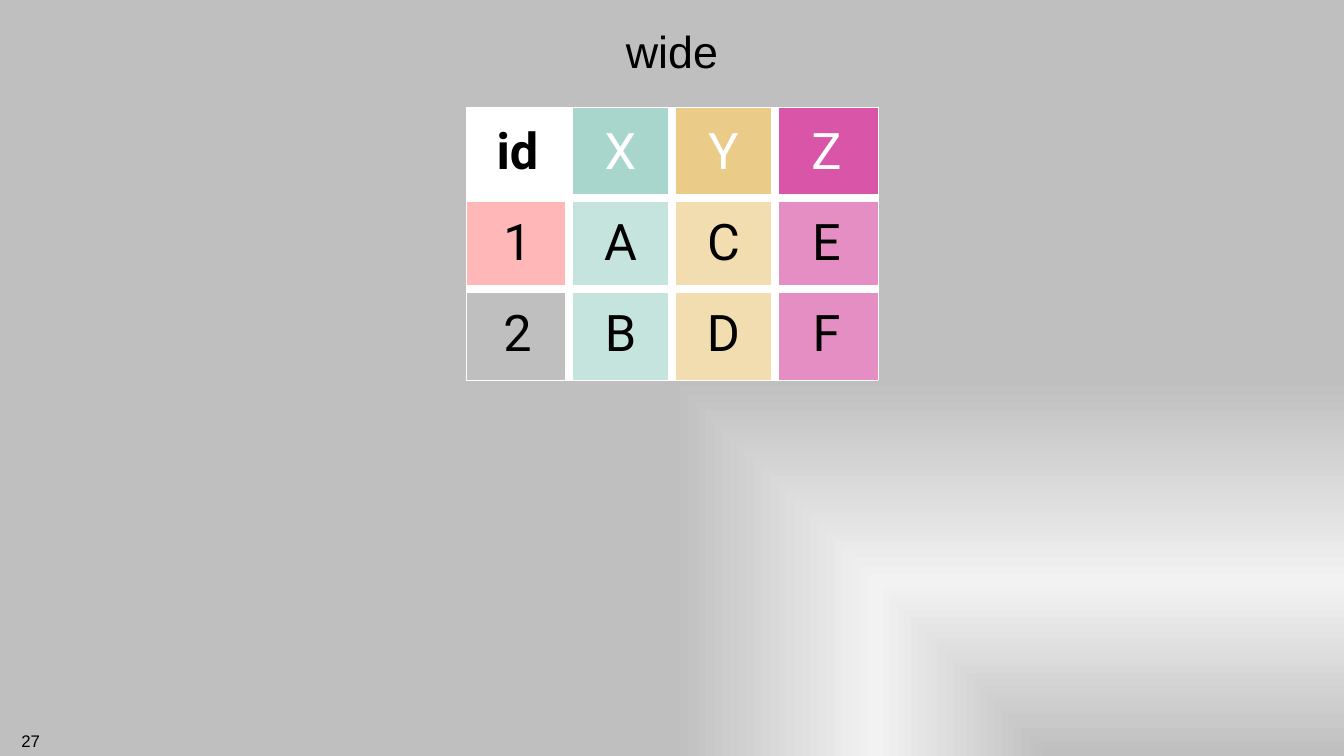
"""Build the slide showing a small table in wide format."""
from lxml import etree
from pptx import Presentation
from pptx.dml.color import RGBColor
from pptx.enum.text import MSO_ANCHOR, PP_ALIGN
from pptx.oxml import parse_xml
from pptx.oxml.ns import qn
from pptx.util import Pt

MIDDLE, TOP = MSO_ANCHOR.MIDDLE, MSO_ANCHOR.TOP
CENTER, RIGHT = PP_ALIGN.CENTER, PP_ALIGN.RIGHT
NS = "http://schemas.openxmlformats.org/drawingml/2006/main"
PX = 914400 / 100.8

WIDTH, HEIGHT = 1344, 756
BLACK, WHITE = "000000", "FFFFFF"
BACKGROUND = [(0, "BFBFBF"), (46, "F2F2F2"), (100, "BFBFBF")]
LABELS = [
    ("wide", (101, 0, 1142, 101), 32, CENTER, MIDDLE),
    ("27", (0, 726, 50, 30), 12, RIGHT, TOP),
]
ROWS = [
    [("id", WHITE), ("X", "A8D6CD"), ("Y", "EACC88"), ("Z", "D955A7")],
    [("1", "FFB7B7"), ("A", "C5E4DD"), ("C", "F1DDAF"), ("E", "E58EC4")],
    [("2", "BFBFBF"), ("B", "C5E4DD"), ("D", "F1DDAF"), ("F", "E58EC4")],
]
TABLE_LEFT, TABLE_TOP, COL_WIDTH, ROW_HEIGHT = 466, 107, 103, 91
OUTER_LINE, INNER_LINE = 0.25, 6


def emu(px):
    return round(px * PX)


def color(value):
    return RGBColor.from_string(value)


def add_run(p, text, size, font, hex_color, bold=False):
    r = p.add_run()
    r.text = text
    r.font.size = Pt(size)
    r.font.name = font
    r.font.bold = bold
    r.font.color.rgb = color(hex_color)


def set_background(s):
    s.background.fill.gradient()
    grad = s.background._cSld.find(".//" + qn("a:gradFill"))
    stops = "".join(
        f'<a:gs pos="{pos * 1000}"><a:srgbClr val="{value}"/></a:gs>'
        for pos, value in BACKGROUND)
    new_grad = parse_xml(
        f'<a:gradFill xmlns:a="{NS}" rotWithShape="1"><a:gsLst>{stops}</a:gsLst>'
        '<a:path path="rect"><a:fillToRect l="100000" t="100000"/></a:path>'
        '</a:gradFill>')
    grad.getparent().replace(grad, new_grad)


def add_label(s, text, box, size, align, anchor):
    tf = s.shapes.add_textbox(*map(emu, box)).text_frame
    tf.word_wrap = True
    tf.vertical_anchor = anchor
    p = tf.paragraphs[0]
    p.alignment = align
    add_run(p, text, size, "Arial", BLACK)


def set_borders(cell, outer_sides):
    tc_pr = cell._tc.get_or_add_tcPr()
    for side in "LRTB":
        width = OUTER_LINE if side in outer_sides else INNER_LINE
        ln = etree.SubElement(tc_pr, qn(f"a:ln{side}"), w=str(Pt(width)))
        fill = etree.SubElement(ln, qn("a:solidFill"))
        etree.SubElement(fill, qn("a:srgbClr"), val=WHITE)


def add_wide_table(s):
    n_rows, n_cols = len(ROWS), len(ROWS[0])
    box = (TABLE_LEFT, TABLE_TOP, n_cols * COL_WIDTH, n_rows * ROW_HEIGHT)
    table = s.shapes.add_table(n_rows, n_cols, *map(emu, box)).table
    table.first_row = table.horz_banding = False
    for col in table.columns:
        col.width = emu(COL_WIDTH)
    for i, row in enumerate(ROWS):
        table.rows[i].height = emu(ROW_HEIGHT)
        for j, (text, fill) in enumerate(row):
            cell = table.cell(i, j)
            edges = {"L": j == 0, "R": j == n_cols - 1,
                     "T": i == 0, "B": i == n_rows - 1}
            set_borders(cell, [side for side in edges if edges[side]])
            cell.fill.solid()
            cell.fill.fore_color.rgb = color(fill)
            cell.vertical_anchor = MIDDLE
            p = cell.text_frame.paragraphs[0]
            p.alignment = CENTER
            text_color = WHITE if i == 0 and j > 0 else BLACK
            add_run(p, text, 36, "Roboto", text_color, i == j == 0)


def main():
    prs = Presentation()
    prs.slide_width, prs.slide_height = emu(WIDTH), emu(HEIGHT)
    s = prs.slides.add_slide(prs.slide_layouts[6])
    set_background(s)
    for label in LABELS:
        add_label(s, *label)
    add_wide_table(s)
    prs.save("out.pptx")


if __name__ == "__main__":
    main()
